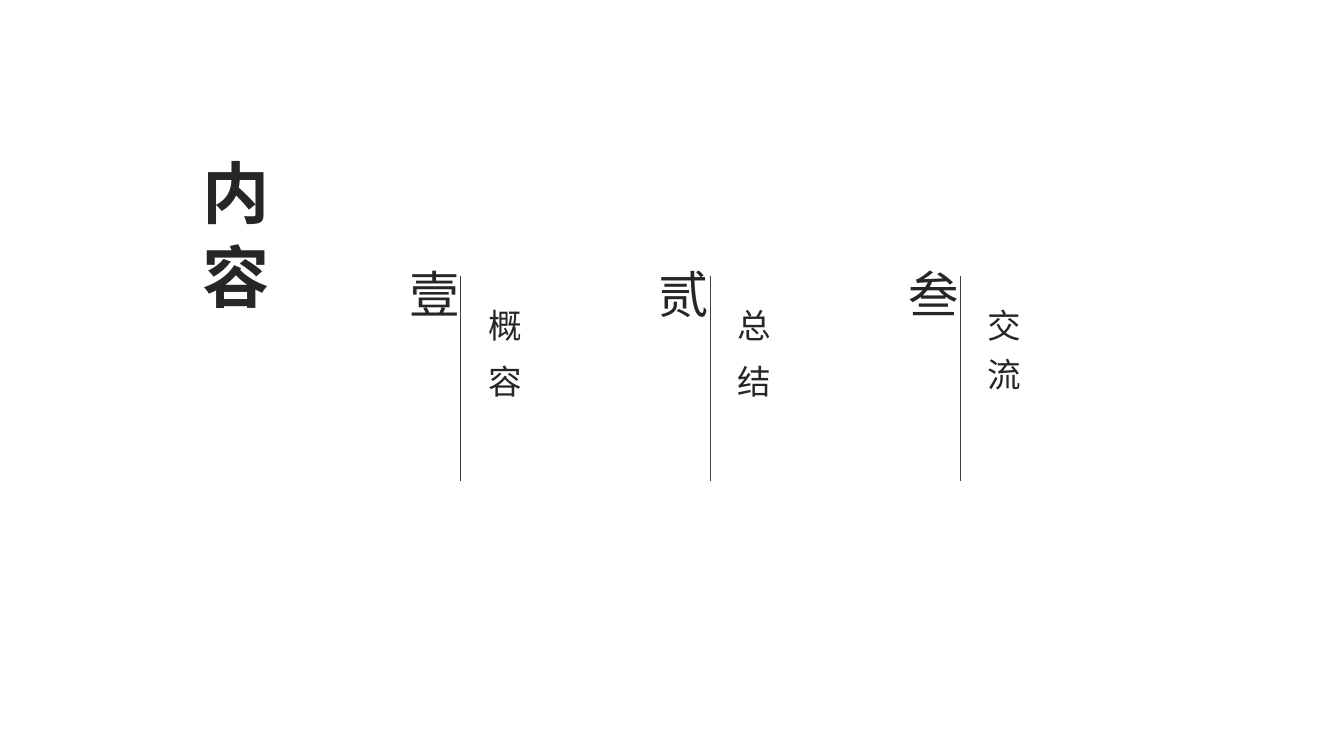
from dataclasses import dataclass

from lxml.etree import SubElement
from pptx import Presentation
from pptx.dml.color import RGBColor
from pptx.enum.shapes import MSO_CONNECTOR
from pptx.enum.text import MSO_AUTO_SIZE
from pptx.oxml.ns import qn
from pptx.shapes.shapetree import GroupShapes, SlideShapes
from pptx.util import Cm, Pt

FONT = "Noto Sans CJK SC"
INK = "262626"
RULE = "404040"
FIRST_LEFT = 9.73
CHAPTER_STEP = 6.29
NUMERAL_TOP = 6.53
RULE_TOP = 6.96
RULE_BOTTOM = 12.12


@dataclass(frozen=True)
class VerticalText:
    text: str
    left: float
    top: float
    width: float
    height: float
    size: int
    bold: bool = False
    indent: float = 0
    spacing: float = 0


@dataclass(frozen=True)
class Chapter:
    numeral: str
    title: str
    spacing: float


CHAPTERS = [
    Chapter("壹", "概 容", 5.4),
    Chapter("贰", "总 结", 5.4),
    Chapter("叁", "交 流", 2.7),
]


def color(value: str) -> RGBColor:
    return RGBColor.from_string(value)


def draw_text(shapes: SlideShapes | GroupShapes, item: VerticalText) -> None:
    box = shapes.add_textbox(
        Cm(item.left), Cm(item.top), Cm(item.width), Cm(item.height)
    )
    frame = box.text_frame
    frame.text = item.text
    frame.word_wrap = True
    frame.auto_size = MSO_AUTO_SIZE.SHAPE_TO_FIT_TEXT
    frame._txBody.bodyPr.set("vert", "eaVert")
    paragraph = frame.paragraphs[0]
    if item.indent:
        paragraph._p.get_or_add_pPr().set("marL", str(int(Pt(item.indent))))
    run = paragraph.runs[0]
    run.font.name = FONT
    run.font.size = Pt(item.size)
    run.font.bold = item.bold
    run.font.color.rgb = color(INK)
    properties = run._r.get_or_add_rPr()
    SubElement(properties, qn("a:ea"), typeface=FONT)
    if item.spacing:
        properties.set("spc", str(round(item.spacing * 100)))


def draw_rule(shapes: GroupShapes, x: float) -> None:
    rule = shapes.add_connector(
        MSO_CONNECTOR.STRAIGHT, Cm(x), Cm(RULE_TOP), Cm(x), Cm(RULE_BOTTOM)
    )
    rule.line.color.rgb = color(RULE)
    rule.line.width = Pt(0.5)
    SubElement(rule._element.spPr, qn("a:effectLst"))


def draw_chapter(shapes: SlideShapes, chapter: Chapter, left: float) -> None:
    members = shapes.add_group_shape().shapes
    draw_text(
        members, VerticalText(chapter.numeral, left, NUMERAL_TOP, 2.06, 1.45, 36)
    )
    draw_text(
        members,
        VerticalText(
            chapter.title, left + 2.05, RULE_TOP, 1.55, 5.72, 24,
            indent=16.1, spacing=chapter.spacing,
        ),
    )
    draw_rule(members, left + 1.88)


def main() -> None:
    presentation = Presentation()
    presentation.slide_width = Cm(33.87)
    presentation.slide_height = Cm(19.05)
    slide = presentation.slides.add_slide(presentation.slide_layouts[6])
    draw_text(
        slide.shapes,
        VerticalText("内 容", 4.47, 3.4, 2.57, 5.16, 48, bold=True, indent=10.75),
    )
    for index, chapter in enumerate(CHAPTERS):
        draw_chapter(slide.shapes, chapter, FIRST_LEFT + index * CHAPTER_STEP)
    presentation.save("out.pptx")


if __name__ == "__main__":
    main()
